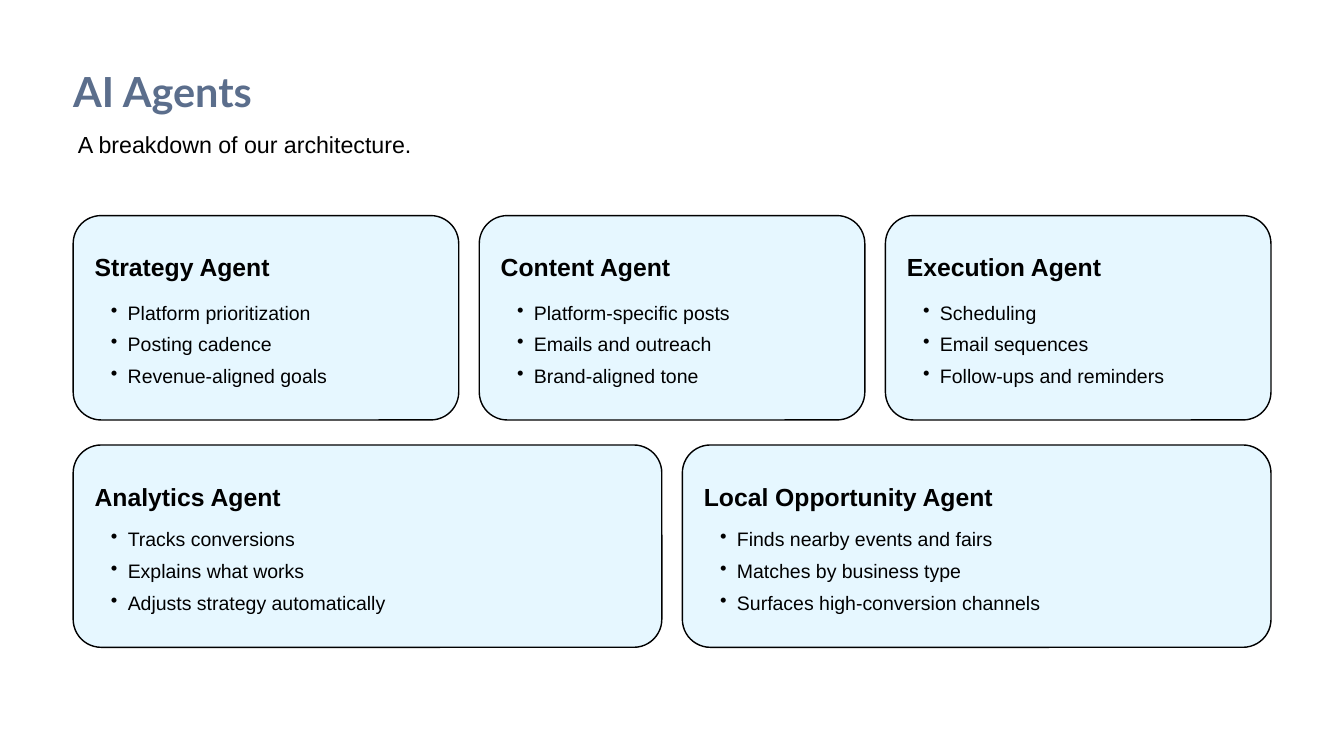
"""Build the AI Agents slide: five cards in two rows beneath a heading."""
from dataclasses import dataclass

from lxml import etree
from pptx import Presentation
from pptx import util as u
from pptx.dml.color import RGBColor
from pptx.enum import shapes, text
from pptx.oxml.ns import qn


@dataclass(frozen=True)
class Style:
    font: str
    size: float
    leading: float
    color: RGBColor
    bold: bool = False


@dataclass(frozen=True)
class Theme:
    card_fill: RGBColor = RGBColor(0xE6, 0xF7, 0xFF)
    card_line: RGBColor = RGBColor(0, 0, 0)
    title: Style = Style("Lato", 44.4, 55.6, RGBColor(0x5B, 0x6E, 0x8C), True)
    subtitle: Style = Style("Arial", 24.9, 31.1, RGBColor(0, 0, 0))
    heading: Style = Style("Arial", 26.5, 33.1, RGBColor(0, 0, 0), True)
    bullet: Style = Style("Arial", 20.9, 34, RGBColor(0, 0, 0))


@dataclass(frozen=True)
class Box:
    left: float
    top: float
    width: float
    height: float

    def lengths(self) -> list[u.Length]:
        return [u.Pt(v) for v in (self.left, self.top, self.width, self.height)]


@dataclass(frozen=True)
class Agent:
    name: str
    tasks: tuple[str, ...]


@dataclass(frozen=True)
class Row:
    top: float
    height: float
    tasks_offset: float
    agents: tuple[Agent, ...]


THEME = Theme()
LEFT, CONTENT_WIDTH, GAP = 78.4, 1283.4, 22
PADDING, HEADING_OFFSET, CORNER = 23, 37.6, 30
TASK_MARGIN, TASK_INDENT = 35.5, -18

ROWS = (
    Row(231, 219, 82.2, (
        Agent("Strategy Agent", ("Platform prioritization", "Posting cadence",
                                 "Revenue-aligned goals")),
        Agent("Content Agent", ("Platform-specific posts", "Emails and outreach",
                                "Brand-aligned tone")),
        Agent("Execution Agent", ("Scheduling", "Email sequences",
                                  "Follow-ups and reminders")),
    )),
    Row(476.8, 216.8, 79.2, (
        Agent("Analytics Agent", ("Tracks conversions", "Explains what works",
                                  "Adjusts strategy automatically")),
        Agent("Local Opportunity Agent", ("Finds nearby events and fairs",
                                          "Matches by business type",
                                          "Surfaces high-conversion channels")),
    )),
)


def add_bullet(paragraph) -> None:
    """Give a paragraph a hanging bullet."""
    paragraph.level = 1
    properties = paragraph._p.get_or_add_pPr()
    properties.set("marL", str(u.Pt(TASK_MARGIN)))
    properties.set("indent", str(u.Pt(TASK_INDENT)))
    etree.SubElement(properties, qn("a:buChar")).set("char", "•")


def add_text(slide, box: Box, lines: tuple[str, ...], style: Style,
             bulleted: bool = False) -> None:
    """Write one paragraph per line in a text box without margins."""
    frame = slide.shapes.add_textbox(*box.lengths()).text_frame
    frame.margin_left = frame.margin_right = 0
    frame.margin_top = frame.margin_bottom = 0
    frame.word_wrap = True
    frame.auto_size = text.MSO_AUTO_SIZE.SHAPE_TO_FIT_TEXT
    for index, line in enumerate(lines):
        paragraph = frame.add_paragraph() if index else frame.paragraphs[0]
        paragraph.text = line
        if bulleted:
            add_bullet(paragraph)
        paragraph.line_spacing = u.Pt(style.leading)
        paragraph.font.name = style.font
        paragraph.font.size = u.Pt(style.size)
        paragraph.font.bold = style.bold
        paragraph.font.color.rgb = style.color


def add_card(slide, box: Box, agent: Agent, tasks_offset: float) -> None:
    """Draw a rounded card with the agent's name and tasks."""
    card = slide.shapes.add_shape(shapes.MSO_SHAPE.ROUNDED_RECTANGLE, *box.lengths())
    card.adjustments[0] = CORNER / box.height
    card.shadow.inherit = False
    card.fill.solid()
    card.fill.fore_color.rgb = THEME.card_fill
    card.line.color.rgb = THEME.card_line
    card.line.width = u.Pt(1.5)
    left, width = box.left + PADDING, box.width - 2 * PADDING
    add_text(slide, Box(left, box.top + HEADING_OFFSET, width, 39),
             (agent.name,), THEME.heading)
    add_text(slide, Box(left, box.top + tasks_offset, width, 103.7),
             agent.tasks, THEME.bullet, bulleted=True)


def add_row(slide, row: Row) -> None:
    """Share the content width equally among the cards of a row."""
    count = len(row.agents)
    width = (CONTENT_WIDTH - GAP * (count - 1)) / count
    for index, agent in enumerate(row.agents):
        box = Box(LEFT + index * (width + GAP), row.top, width, row.height)
        add_card(slide, box, agent, row.tasks_offset)


def main() -> None:
    """Build and save the slide."""
    deck = Presentation()
    deck.slide_width, deck.slide_height = u.Pt(1440), u.Pt(810)
    slide = deck.slides.add_slide(deck.slide_layouts[6])
    add_text(slide, Box(LEFT, 69, 222.5, 55), ("AI Agents",), THEME.title)
    add_text(slide, Box(83.5, 138.2, 1278.5, 36),
             ("A breakdown of our architecture.",), THEME.subtitle)
    for row in ROWS:
        add_row(slide, row)
    deck.save("out.pptx")


if __name__ == "__main__":
    main()
